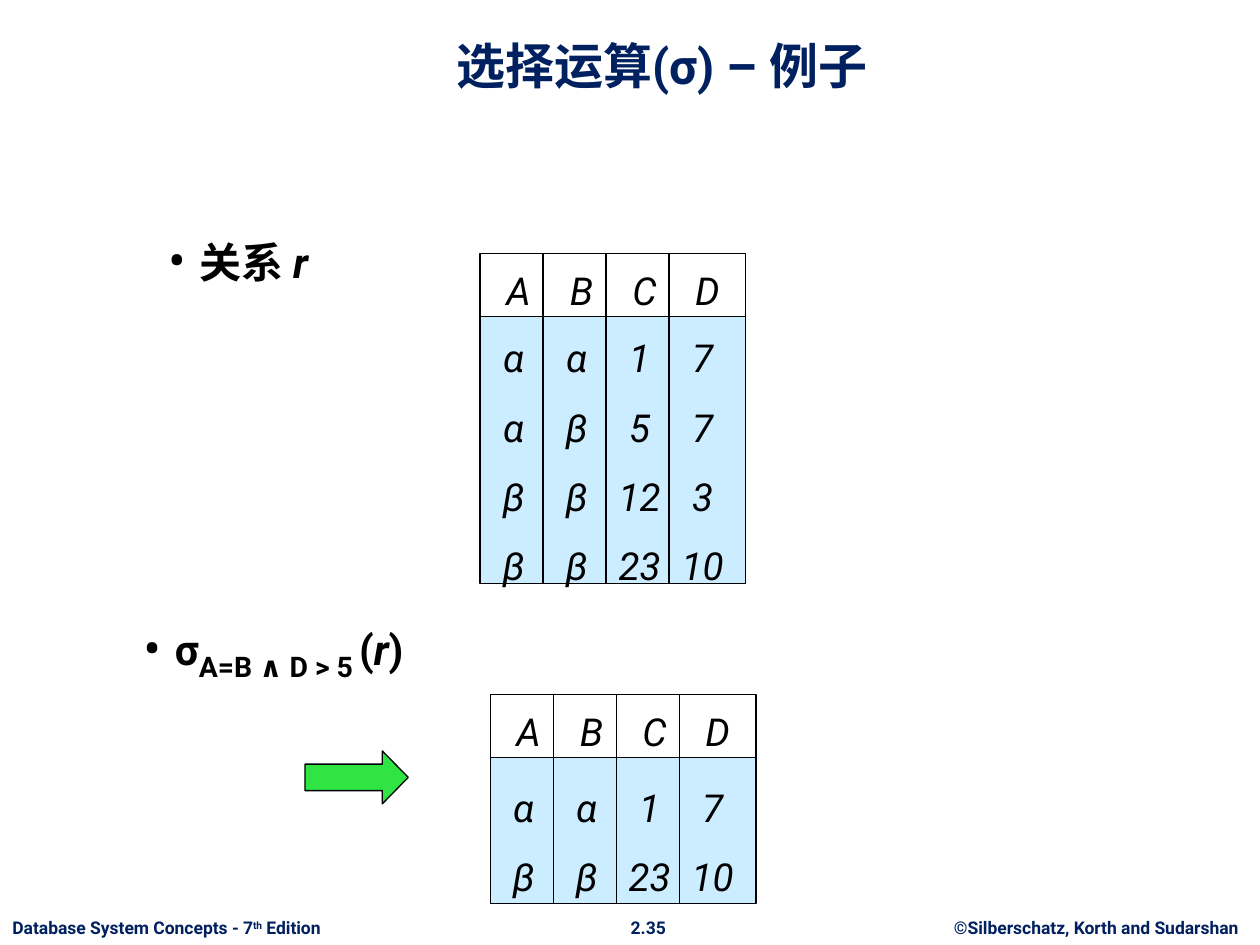
from pptx import Presentation
from pptx.util import Inches, Pt
from pptx.dml.color import RGBColor
from pptx.enum.shapes import MSO_SHAPE as Shape
from pptx.enum.text import MSO_ANCHOR as Anchor, MSO_AUTO_SIZE as Auto, PP_ALIGN as Align
from pptx.oxml.ns import qn
from lxml.etree import SubElement

NAVY = RGBColor(0x00, 0x20, 0x60)
BLACK = RGBColor(0x00, 0x00, 0x00)
WHITE = RGBColor(0xFF, 0xFF, 0xFF)
SKY = RGBColor(0xCC, 0xEC, 0xFF)
GREEN = RGBColor(0x30, 0xE4, 0x44)


def add_run(para, text, size, color=BLACK, base=0, **style):
    """Append a run; base is the raised or lowered offset in percent."""
    run = para.add_run()
    run.text = text
    run.font.color.rgb = color
    for key, val in {"name": "Roboto", "size": Pt(size), **style}.items():
        setattr(run.font, key, val)
    if base:
        run.font._element.set("baseline", str(base * 1000))


def add_block(kind, left, top, width, height, color):
    """Add a filled shape with a thin black outline."""
    block = slide.shapes.add_shape(kind, Inches(left), Inches(top), Inches(width), Inches(height))
    block.shadow.inherit = False
    block.fill.solid()
    block.fill.fore_color.rgb = color
    block.line.color.rgb = BLACK
    block.line.width = Pt(0.75)
    return block


prs = Presentation()
prs.slide_width, prs.slide_height = Inches(10), Inches(7.5)
slide = prs.slides.add_slide(prs.slide_layouts[5])
shapes = slide.shapes

# Title
title = shapes.title
title.left, title.top = Inches(0.84), Inches(0.13)
title.width, title.height = Inches(8.83), Inches(0.67)
title.text_frame.vertical_anchor = Anchor.BOTTOM
para = title.text_frame.paragraphs[0]
para.alignment = Align.CENTER
add_run(para, "选择运算(σ) – 例子", 28, NAVY, bold=True)

# Footer
footers = [
    (0, 2.81, Align.LEFT, [("Database System Concepts - 7", 0), ("th", 30), (" Edition", 0)]),
    (4.9, 0.49, Align.CENTER, [("2.35", 0)]),
    (7.4, 2.6, Align.CENTER, [("©Silberschatz, Korth and Sudarshan", 0)]),
]
for left, width, align, runs in footers:
    box = shapes.add_textbox(Inches(left), Inches(7.23), Inches(width), Inches(0.27))
    box.text_frame.word_wrap = False
    para = box.text_frame.paragraphs[0]
    para.alignment = align
    for text, base in runs:
        add_run(para, text, 10, NAVY, base, bold=True)

# Bulleted labels
labels = [
    (1.22, 1.83, 1.34, [("关系 ", 24, 0, False), ("r", 24, 0, True)]),
    (0.84, 4.91, 2.66, [
        ("σ", 24, 0, False), ("A=B ∧ D > 5", 28, -25, False), (" ", 24, -25, False),
        ("(", 24, 0, False), ("r", 24, 0, True), (")", 24, 0, False),
    ]),
]
for left, top, width, runs in labels:
    box = shapes.add_textbox(Inches(left), Inches(top), Inches(width), Inches(0.5))
    frame = box.text_frame
    frame.word_wrap = False
    frame.auto_size = Auto.SHAPE_TO_FIT_TEXT
    frame.vertical_anchor = Anchor.MIDDLE
    para = frame.paragraphs[0]
    para.alignment = Align.CENTER
    props = para._p.get_or_add_pPr()
    props.set("marL", str(Inches(0.25)))
    props.set("indent", str(-Inches(0.25)))
    SubElement(props, qn("a:buSzPct"), val="125000")
    SubElement(props, qn("a:buFont"), typeface="Roboto")
    SubElement(props, qn("a:buChar"), char="•")
    for text, size, base, italic in runs:
        add_run(para, text, size, base=base, bold=True, italic=italic)

# Relations: left, top, body height, rows; each column is a head block and a body block
HEAD = ("A", "B", "C", "D")
STEP, WIDTH = 0.5, 0.61
tables = [
    (3.81, 2.01, 2.12, [("α", "α", "1", "7"), ("α", "β", "5", "7"),
                        ("β", "β", "12", "3"), ("β", "β", "23", "10")]),
    (3.89, 5.51, 1.16, [("α", "α", "1", "7"), ("β", "β", "23", "10")]),
]
for left, top, tall, rows in tables:
    bands = [
        (top, 0.58, WHITE, 0.1, 1, [HEAD]),
        (top + STEP, tall, SKY, 0.02, 1.5, rows),
    ]
    for y, height, color, inset, space, lines in bands:
        for c, column in enumerate(zip(*lines)):
            block = add_block(Shape.RECTANGLE, left + c * STEP, y, WIDTH, height, color)
            frame = block.text_frame
            frame.word_wrap = False
            frame.vertical_anchor = Anchor.MIDDLE
            frame.margin_left = Inches(inset)
            for i, text in enumerate(column):
                para = frame.add_paragraph() if i else frame.paragraphs[0]
                para.alignment = Align.CENTER
                para.line_spacing = space
                add_run(para, text, 22, italic=True)

# Arrow to the result
arrow = add_block(Shape.RIGHT_ARROW, 2.42, 5.96, 0.82, 0.42, GREEN)
arrow.adjustments[0], arrow.adjustments[1] = 0.5, 0.49

prs.save("out.pptx")
